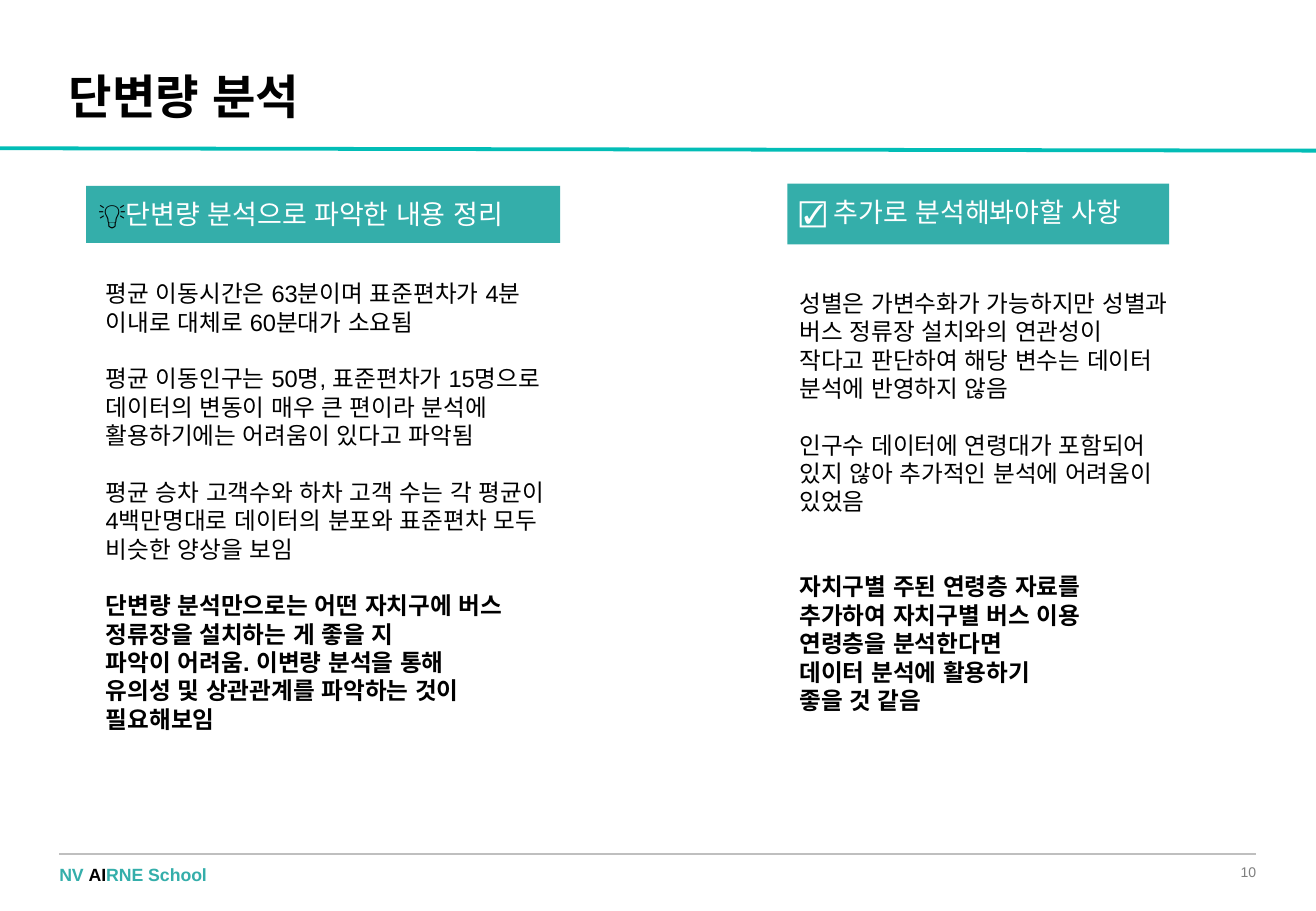
"""Builds the univariate analysis slide with two headed text columns."""
from lxml import etree
from pptx import Presentation
from pptx import util as u
from pptx.dml.color import RGBColor
from pptx.enum import lang, shapes, text
from pptx.oxml import ns

TEAL = RGBColor(0x34, 0xAE, 0xAA)
AQUA = RGBColor(0x02, 0xBD, 0xB6)
SILVER = RGBColor(0xBF, 0xBF, 0xBF)
GREY = RGBColor(0x7F, 0x7F, 0x7F)
BLACK = RGBColor(0, 0, 0)
WHITE = RGBColor(0xFF, 0xFF, 0xFF)

FINDINGS = [
    ("평균 이동시간은 63분이며 표준편차가 4분 이내로 대체로 60분대가 소요됨", 0, False),
    ("평균 이동인구는 50명, 표준편차가 15명으로 데이터의 변동이 매우 큰 편이라 "
     "분석에 활용하기에는 어려움이 있다고 파악됨", 1, False),
    ("평균 승차 고객수와 하차 고객 수는 각 평균이 4백만명대로 데이터의 분포와 "
     "표준편차 모두 비슷한 양상을 보임", 1, False),
    ("단변량 분석만으로는 어떤 자치구에 버스 정류장을 설치하는 게 좋을 지", 1, True),
    ("파악이 어려움. 이변량 분석을 통해", 0, True),
    ("유의성 및 상관관계를 파악하는 것이 필요해보임", 0, True),
]
TODO = [
    ("성별은 가변수화가 가능하지만 성별과 버스 정류장 설치와의 연관성이 작다고 "
     "판단하여 해당 변수는 데이터 분석에 반영하지 않음", 0, False),
    ("인구수 데이터에 연령대가 포함되어 있지 않아 추가적인 분석에 어려움이 있었음", 1, False),
    ("자치구별 주된 연령층 자료를 추가하여 자치구별 버스 이용 연령층을 분석한다면", 2, True),
    ("데이터 분석에 활용하기", 0, True),
    ("좋을 것 같음", 0, True),
]


class Deck:
    """Holds the text style and the current slide."""

    face = "Arial"
    gap = 16.8

    def __init__(self, wide, high):
        self.prs = Presentation()
        self.prs.slide_width, self.prs.slide_height = u.Cm(wide), u.Cm(high)
        self.slide = self.prs.slides.add_slide(self.prs.slide_layouts[3])

    def place(self, shape, box):
        """Moves a shape to a box given in centimetres."""
        shape.left, shape.top, shape.width, shape.height = map(u.Cm, box)

    def frame(self, shape, pad_x=0.25, pad_y=0.25):
        """Sets up the text frame of a shape."""
        frame = shape.text_frame
        frame.word_wrap = True
        frame.auto_size = text.MSO_AUTO_SIZE.NONE
        frame.vertical_anchor = text.MSO_ANCHOR.TOP
        frame.margin_left = frame.margin_right = u.Cm(pad_x)
        frame.margin_top = frame.margin_bottom = u.Cm(pad_y)
        return frame

    def style(self, para, size, color=None, bold=False):
        """Formats a whole paragraph."""
        para.alignment = text.PP_ALIGN.LEFT
        font = para.font
        font.name, font.size, font.bold = self.face, u.Pt(size), bold
        font.language_id = lang.MSO_LANGUAGE_ID.KOREAN
        if color is not None:
            font.color.rgb = color

    def runs(self, para, parts):
        """Adds runs that differ in colour and weight."""
        for words, color, bold in parts:
            run = para.add_run()
            run.text = words
            run.font.color.rgb, run.font.bold = color, bold

    def title(self, box, words):
        """Fills the title placeholder."""
        shape = self.slide.shapes.title
        self.place(shape, box)
        para = self.frame(shape, pad_y=0.13).paragraphs[0]
        para.text = words
        para.line_spacing = 0.9
        self.style(para, 28, BLACK, True)

    def list(self, index, box, items):
        """Fills a body placeholder with spaced plain paragraphs."""
        shape = self.slide.placeholders[index]
        self.place(shape, box)
        frame = self.frame(shape)
        for i, (words, gaps, bold) in enumerate(items):
            para = frame.add_paragraph() if i else frame.paragraphs[0]
            para.text = words
            para.space_before = u.Pt(gaps * self.gap)
            self.style(para, 14, BLACK, bold)
            props = para._p.get_or_add_pPr()
            props.set("marL", "0")
            props.set("indent", "0")
            props.insert_element_before(
                etree.Element(ns.qn("a:buNone")), "a:tabLst", "a:defRPr", "a:extLst")

    def head(self, box, parts):
        """Draws a teal heading bar."""
        bar = self.slide.shapes.add_shape(
            shapes.MSO_SHAPE.RECTANGLE, *map(u.Cm, box))
        bar.shadow.inherit = False
        bar.fill.solid()
        bar.fill.fore_color.rgb = TEAL
        bar.line.fill.background()
        para = self.frame(bar).paragraphs[0]
        self.style(para, 16)
        self.runs(para, parts)

    def note(self, box, size, parts, align=text.PP_ALIGN.LEFT):
        """Adds a small footer text."""
        shape = self.slide.shapes.add_textbox(*map(u.Cm, box))
        para = self.frame(shape, 0, 0).paragraphs[0]
        self.style(para, size)
        para.alignment = align
        self.runs(para, parts)

    def rule(self, ends, color, width):
        """Draws a straight line."""
        line = self.slide.shapes.add_connector(
            shapes.MSO_CONNECTOR.STRAIGHT, *map(u.Cm, ends))
        line.line.color.rgb, line.line.width = color, u.Pt(width)
        etree.SubElement(line._element.spPr, ns.qn("a:effectLst"))


def main():
    deck = Deck(27.51, 19.05)
    deck.rule((27.51, 3.15, 0, 3.1), AQUA, 2.25)
    deck.rule((1.24, 17.86, 26.26, 17.86), SILVER, 0.75)
    deck.note((24.56, 18.06, 1.7, 0.36), 8.3,
              [("10", GREY, False)], text.PP_ALIGN.RIGHT)
    deck.note((1.24, 18.06, 8.03, 0.46), 10.5,
              [("NV ", TEAL, True), ("AI", BLACK, True), ("RNE School", TEAL, True)])
    deck.title((1.19, 1.42, 13.64, 2.41), "단변량 분석")
    deck.head((16.46, 3.84, 7.98, 1.27),
              [("☑️ 추가로 분석해봐야할 사항", WHITE, False)])
    deck.head((1.8, 3.89, 9.91, 1.19),
              [("💡", BLACK, True), ("단변량 분석으로 파악한 내용 정리", WHITE, False)])
    deck.list(1, (1.96, 5.59, 10.08, 10.92), FINDINGS)
    deck.list(2, (16.46, 5.79, 8.33, 10.69), TODO)
    deck.prs.save("out.pptx")


if __name__ == "__main__":
    main()
